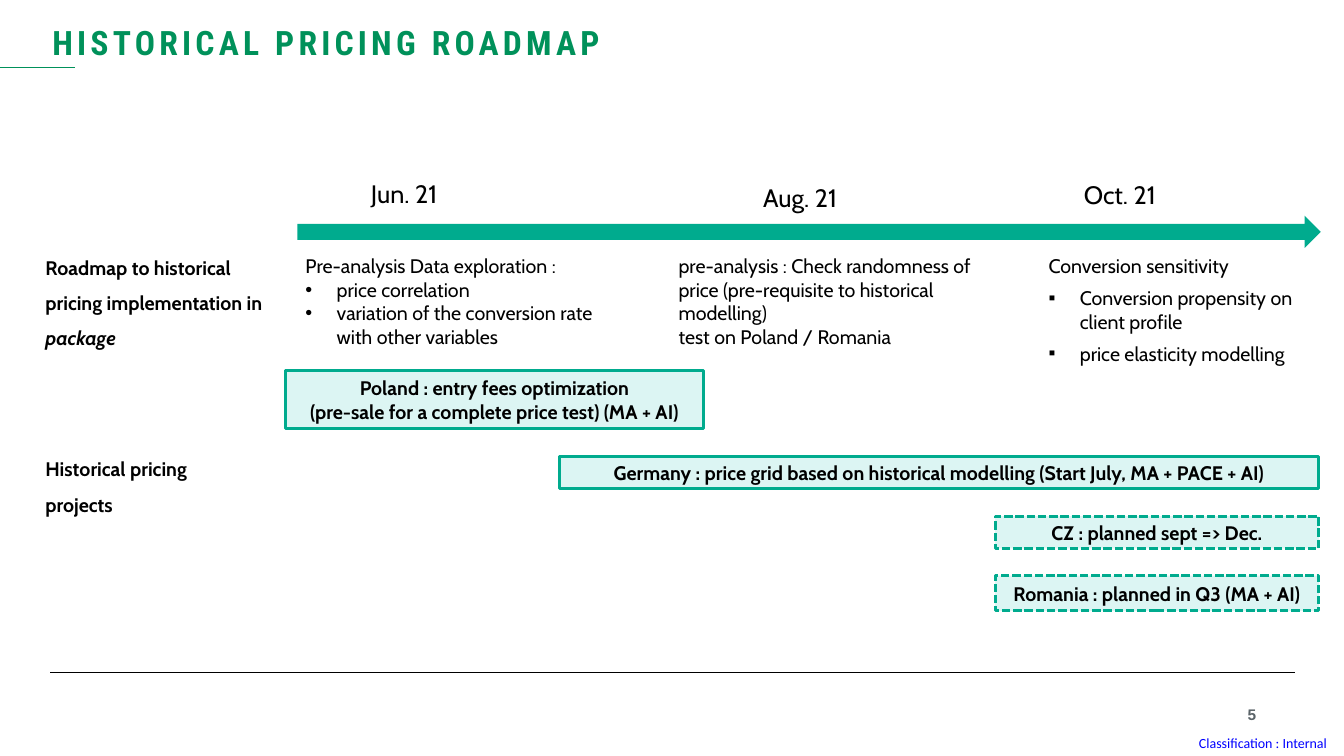
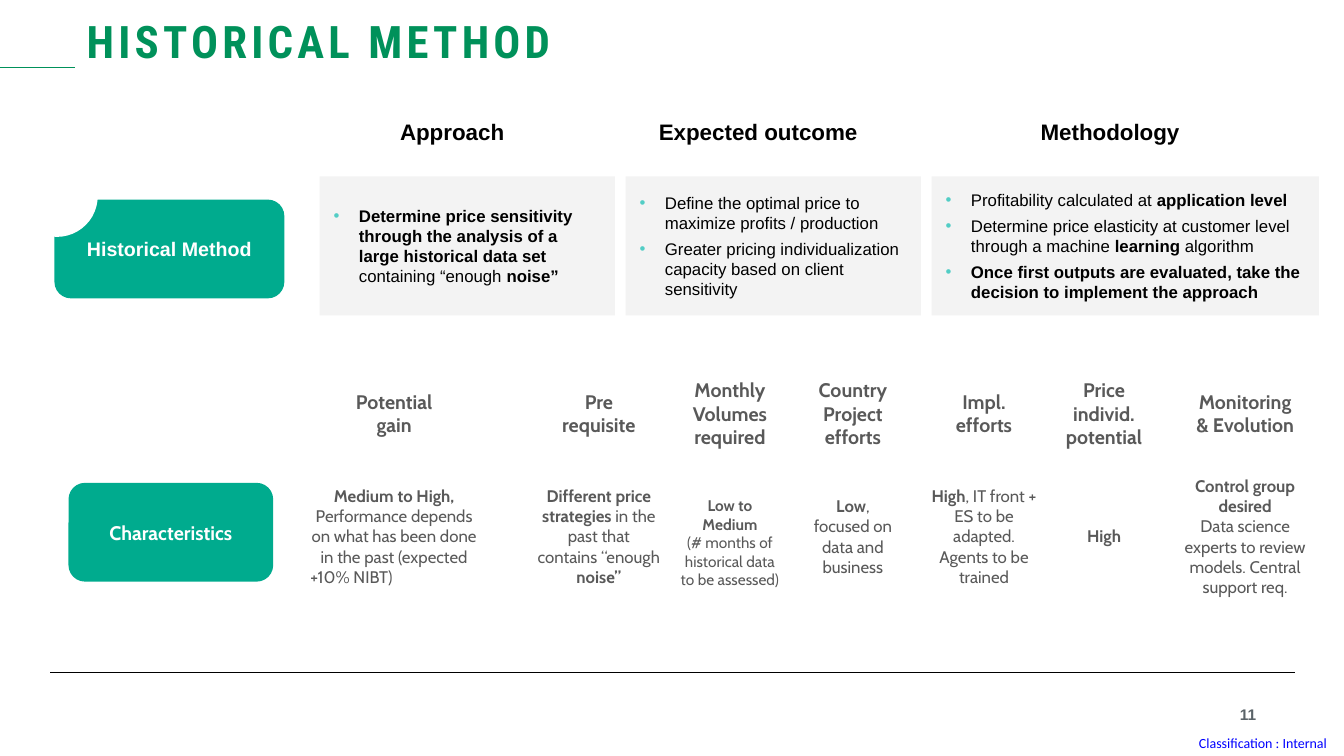
from collections import namedtuple

from lxml.etree import SubElement
from pptx import Presentation
from pptx.dml.color import RGBColor
from pptx.enum.dml import MSO_LINE
from pptx.enum.shapes import MSO_CONNECTOR, MSO_SHAPE
from pptx.enum.text import MSO_ANCHOR, MSO_AUTO_SIZE, PP_ALIGN
from pptx.oxml.ns import qn
from pptx.util import Inches, Pt

COLORS = {
    "title": "00915A",
    "accent": "00AB8E",
    "pale": "DCF5F3",
    "bullet": "52CDC5",
    "card": "BFBFBF",
    "grey": "595959",
    "number": "5A6368",
    "link": "0000FF",
    "black": "000000",
    "white": "FFFFFF",
}
BODY_FONT = "Cabin"
PLAIN_FONT = "Arial"
TITLE_FONT = "Roboto Condensed"
NO_INSET = (0, 0)

Box = namedtuple("Box", "left top width height")


# Shared helpers
def rgb(name):
    return RGBColor.from_string(COLORS[name])


def emu(box):
    return [Inches(value) for value in box]


def set_bullet(paragraph, character, color, indent):
    properties = paragraph._p.get_or_add_pPr()
    properties.set("marL", str(Inches(indent)))
    properties.set("indent", str(-Inches(indent)))
    bullet_color = SubElement(properties, qn("a:buClr"))
    SubElement(bullet_color, qn("a:srgbClr"), val=COLORS[color])
    SubElement(properties, qn("a:buFont"), typeface="Arial")
    SubElement(properties, qn("a:buChar"), char=character)


def write(shape, lines, size, font=BODY_FONT, color="black", bold=False,
          align=PP_ALIGN.LEFT, anchor=MSO_ANCHOR.TOP, inset=None, wrap=True,
          before=0, after=0, spacing=None, bullet_color="black", indent=0.31):
    """Fill a shape; *stars* mark bold words, a leading • or ▪ makes a bullet."""
    frame = shape.text_frame
    frame.word_wrap = wrap
    frame.vertical_anchor = anchor
    if inset is not None:
        frame.margin_left = frame.margin_right = Inches(inset[0])
        frame.margin_top = frame.margin_bottom = Inches(inset[1])
    for number, line in enumerate(lines):
        paragraph = frame.add_paragraph() if number else frame.paragraphs[0]
        paragraph.alignment = align
        paragraph.space_before = Pt(before)
        paragraph.space_after = Pt(after)
        if spacing:
            paragraph.line_spacing = spacing
        if line[0] in "•▪":
            set_bullet(paragraph, line[0], bullet_color, indent)
            line = line[1:].strip()
        for index, piece in enumerate(line.split("*")):
            if not piece:
                continue
            run = paragraph.add_run()
            run.text = piece
            run.font.size = Pt(size)
            run.font.name = font
            run.font.bold = bold or index % 2 == 1
            run.font.color.rgb = rgb(color)
    return shape


def add_text(slide, box, lines, size, **style):
    return write(slide.shapes.add_textbox(*emu(box)), lines, size, **style)


def add_block(slide, kind, box, fill, alpha=None):
    shape = slide.shapes.add_shape(kind, *emu(box))
    shape.shadow.inherit = False
    shape.fill.solid()
    shape.fill.fore_color.rgb = rgb(fill)
    shape.line.fill.background()
    if alpha:
        color = shape._element.spPr.find(qn("a:solidFill"))[0]
        SubElement(color, qn("a:alpha"), val=str(alpha * 1000))
    return shape


def add_rule(slide, left, right, top, color, weight):
    line = slide.shapes.add_connector(
        MSO_CONNECTOR.STRAIGHT, Inches(left), Inches(top), Inches(right), Inches(top))
    line.line.color.rgb = rgb(color)
    line.line.width = Pt(weight)
    SubElement(line._element.spPr, qn("a:effectLst"))


def add_framed_slide(presentation, title, title_box, title_size, number):
    """Title-only slide with the shared title style, rules and footer."""
    slide = presentation.slides.add_slide(presentation.slide_layouts[5])
    add_text(slide, Box(11.56, 7.22, 1.6, 0.29), ["Classification : Internal"], 10,
             font="Calibri", color="link", align=PP_ALIGN.RIGHT,
             anchor=MSO_ANCHOR.MIDDLE, inset=NO_INSET)
    add_rule(slide, 0.5, 12.84, 6.67, "black", 1)
    add_rule(slide, -0.02, 0.74, 0.67, "title", 0.75)
    add_text(slide, Box(12.2, 6.99, 0.26, 0.2), [number], 11, font=PLAIN_FONT,
             color="number", bold=True, align=PP_ALIGN.RIGHT,
             anchor=MSO_ANCHOR.MIDDLE, inset=NO_INSET, wrap=False)

    heading = slide.shapes.title
    heading.left, heading.top, heading.width, heading.height = emu(title_box)
    write(heading, [title], title_size, font=TITLE_FONT, color="title", bold=True,
          anchor=MSO_ANCHOR.MIDDLE, before=2.7)
    heading.text_frame.auto_size = MSO_AUTO_SIZE.NONE
    for run in heading.text_frame.paragraphs[0].runs:
        run.font._element.set("spc", "300")
    return slide


# Roadmap slide
def add_row_label(slide, box, text):
    return add_text(slide, box, [text], 14, bold=True, spacing=1.5, inset=NO_INSET)


def add_timeline(slide, box):
    """Arrow across the box, dates above it and steps below it."""
    add_block(slide, MSO_SHAPE.RIGHT_ARROW, box, "accent")
    # date, date offset (x, y), step offset, step width, space before, step text
    steps = [
        ("Jun. 21", 0.73, -0.37, 0.08, 2.91, 0,
         ["Pre-analysis Data exploration :", "• price correlation",
          "• variation of the conversion rate with other variables"]),
        ("Aug. 21", 4.62, -0.33, 3.78, 3.08, 0,
         ["pre-analysis : Check randomness of price (pre-requisite to historical modelling)",
          "test on Poland / Romania"]),
        ("Oct. 21", 7.8, -0.36, 7.45, 2.58, 6,
         ["Conversion sensitivity", "▪ Conversion propensity on client profile",
          "▪ price elasticity modelling"]),
    ]
    for date, date_x, date_y, step_x, width, before, lines in steps:
        add_text(slide, Box(box.left + date_x, box.top + date_y, 1.34, 0.3),
                 [date], 18, inset=NO_INSET)
        add_text(slide, Box(box.left + step_x, box.top + 0.38, width, 1.1),
                 lines, 14, inset=NO_INSET, before=before)


def add_projects(slide, box):
    """Project bars; all but the first end at the right edge of the box."""
    projects = [
        (0, 0, 4.15, 0.57, False,
         ["Poland : entry fees optimization",
          "(pre-sale for a complete price test) (MA + AI)"]),
        (2.72, 0.85, 7.53, 0.32, False,
         ["Germany : price grid based on historical modelling (Start July, MA + PACE + AI)"]),
        (7.04, 1.44, 3.21, 0.32, True, ["CZ : planned sept => Dec."]),
        (7.04, 2.03, 3.21, 0.35, True, ["Romania : planned in Q3 (MA + AI)"]),
    ]
    for x, y, width, height, planned, lines in projects:
        bar = add_block(slide, MSO_SHAPE.RECTANGLE,
                        Box(box.left + x, box.top + y, width, height), "pale")
        bar.line.color.rgb = rgb("accent")
        bar.line.width = Pt(2)
        if planned:
            bar.line.dash_style = MSO_LINE.SQUARE_DOT
        write(bar, lines, 14, bold=True, align=PP_ALIGN.CENTER,
              anchor=MSO_ANCHOR.MIDDLE, inset=NO_INSET)


def build_roadmap(presentation):
    slide = add_framed_slide(presentation, "HISTORICAL PRICING ROADMAP",
                             Box(0.42, 0.18, 12.05, 0.47), 24, "5")
    add_timeline(slide, Box(2.95, 2.14, 10.15, 0.32))
    label = add_row_label(slide, Box(0.45, 2.42, 2.28, 0.56),
                          "Roadmap to historical pricing implementation in *package*")
    label.text_frame.paragraphs[0].runs[-1].font.italic = True
    add_row_label(slide, Box(0.45, 4.42, 1.87, 0.97), "Historical pricing projects")
    add_projects(slide, Box(2.83, 3.68, 10.25, 2.38))


# Method slide
def add_row_badge(slide, box, text, font):
    badge = add_block(slide, MSO_SHAPE.ROUNDED_RECTANGLE, box, "accent")
    write(badge, [text], 14, font=font, color="white", bold=True,
          align=PP_ALIGN.CENTER, anchor=MSO_ANCHOR.MIDDLE, inset=(0, 0.13))


def add_method_cards(slide, box):
    """Three cards side by side, each under its heading."""
    cards = [
        ("Approach", 2.93,
         ["• *Determine price sensitivity through the analysis of a large historical "
          "data set *containing “enough *noise”*"]),
        ("Expected outcome", 2.93,
         ["• Define the optimal price to maximize profits / production",
          "• Greater pricing individualization capacity based on client sensitivity"]),
        ("Methodology", 3.84,
         ["• Profitability calculated at *application level*",
          "• Determine price elasticity at customer level through a machine "
          "*learning *algorithm",
          "• *Once first outputs are evaluated, take the decision to implement "
          "the approach*"]),
    ]
    gap = (box.width - sum(card[1] for card in cards)) / (len(cards) - 1)
    left = box.left
    for heading, width, lines in cards:
        add_text(slide, Box(left - 0.15, box.top - 0.63, width, 0.37), [heading], 16,
                 font=PLAIN_FONT, bold=True, align=PP_ALIGN.CENTER)
        card = add_block(slide, MSO_SHAPE.RECTANGLE,
                         Box(left, box.top, width, box.height), "card", alpha=18)
        write(card, lines, 12, font=PLAIN_FONT, anchor=MSO_ANCHOR.MIDDLE,
              inset=(0.14, 0.13), after=4, bullet_color="bullet", indent=0.25)
        left += width + gap


def add_characteristics(slide, box):
    """Columns of a heading and a description, centred on offsets in the box."""
    heading_width = 1.3
    # centre, body width, body height, body size, heading, body
    columns = [
        (0.93, 1.86, 1, 12, ["Potential", "gain"],
         ["*Medium to High,*",
          "Performance depends on what has been done in the past (expected",
          "+10% NIBT)"]),
        (2.96, 1.44, 1, 12, ["Pre", "requisite"],
         ["*Different price strategies *in the past that contains “enough *noise”*"]),
        (4.26, 1.19, 1.13, 11, ["Monthly", "Volumes", "required"],
         ["*Low to Medium*", "(# months of historical data to be assessed)"]),
        (5.48, 1, 1, 12, ["Country", "Project", "efforts"],
         ["*Low*, focused on", "data and business"]),
        (6.78, 1.25, 1, 12, ["Impl.", "efforts"],
         ["*High*, IT front + ES to be adapted. Agents to be trained"]),
        (7.97, 1.31, 1, 12, ["Price", "individ.", "potential"], ["*High*"]),
        (9.37, 1.47, 1, 12, ["Monitoring", "& Evolution"],
         ["*Control group desired*",
          "Data science experts to review models. Central support req."]),
    ]
    style = dict(color="grey", align=PP_ALIGN.CENTER, anchor=MSO_ANCHOR.MIDDLE)
    bodies = []
    for offset, width, height, size, heading, lines in columns:
        center = box.left + offset
        add_text(slide, Box(center - heading_width / 2, box.top, heading_width, 1),
                 heading, 14, bold=True, **style)
        bodies.append(add_text(
            slide, Box(center - width / 2, box.top + 1.22, width, height),
            lines, size, **style))
    bodies[0].text_frame.paragraphs[-1].alignment = PP_ALIGN.LEFT


def build_method(presentation):
    slide = add_framed_slide(presentation, "HISTORICAL METHOD",
                             Box(0.76, 0.17, 12.38, 0.47), 32, "11")
    add_row_badge(slide, Box(0.54, 1.98, 2.28, 0.98), "Historical Method", PLAIN_FONT)
    # White circle that cuts the corner of the badge
    add_block(slide, MSO_SHAPE.OVAL, Box(0.16, 1.54, 0.81, 0.81), "white")
    add_method_cards(slide, Box(3.17, 1.75, 9.91, 1.38))
    add_row_badge(slide, Box(0.68, 4.79, 2.03, 0.98), "Characteristics", BODY_FONT)
    add_characteristics(slide, Box(2.98, 3.6, 10.11, 2.38))


def main():
    presentation = Presentation()
    presentation.slide_width = Inches(13.33)
    presentation.slide_height = Inches(7.5)
    build_roadmap(presentation)
    build_method(presentation)
    presentation.save("out.pptx")


if __name__ == "__main__":
    main()
